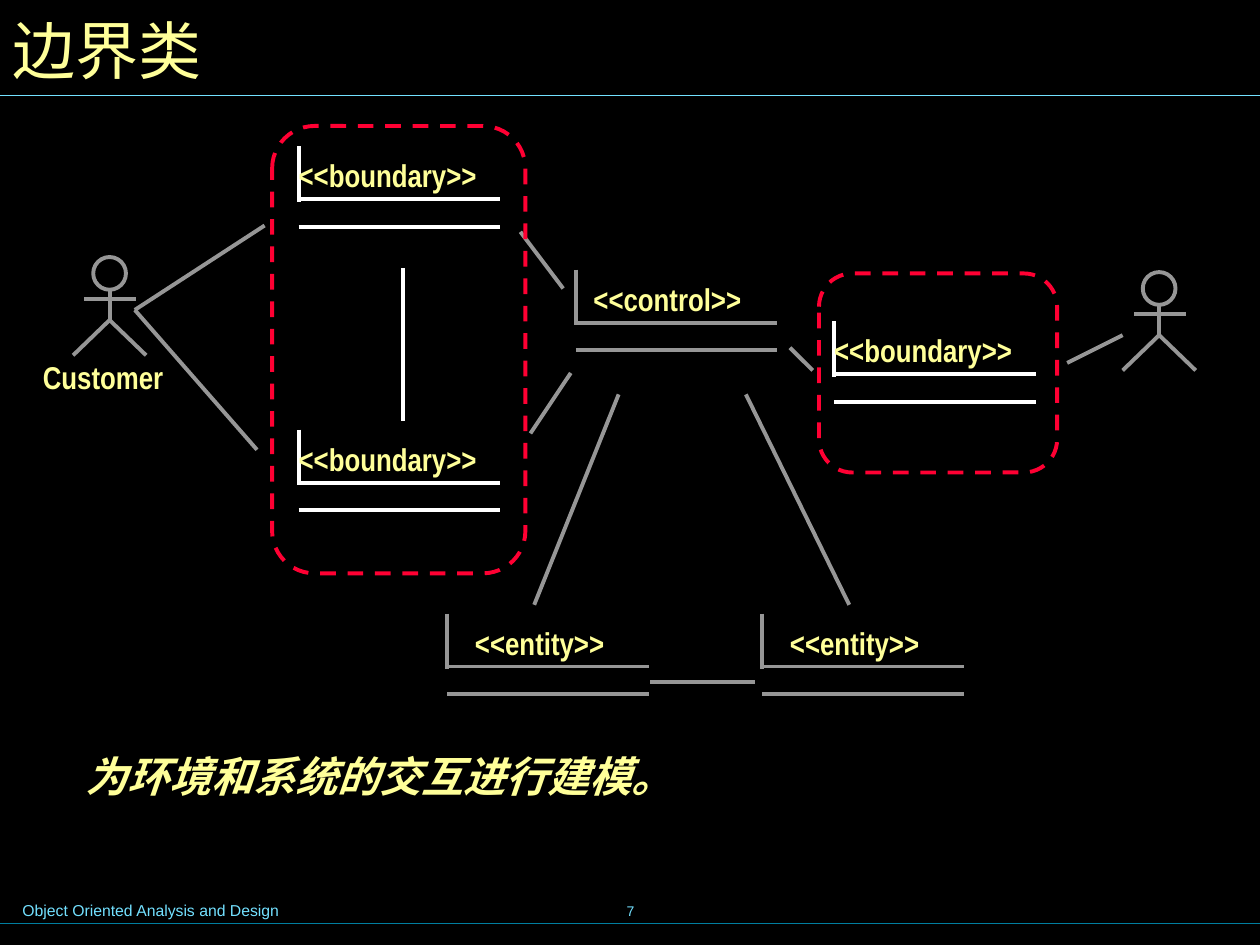
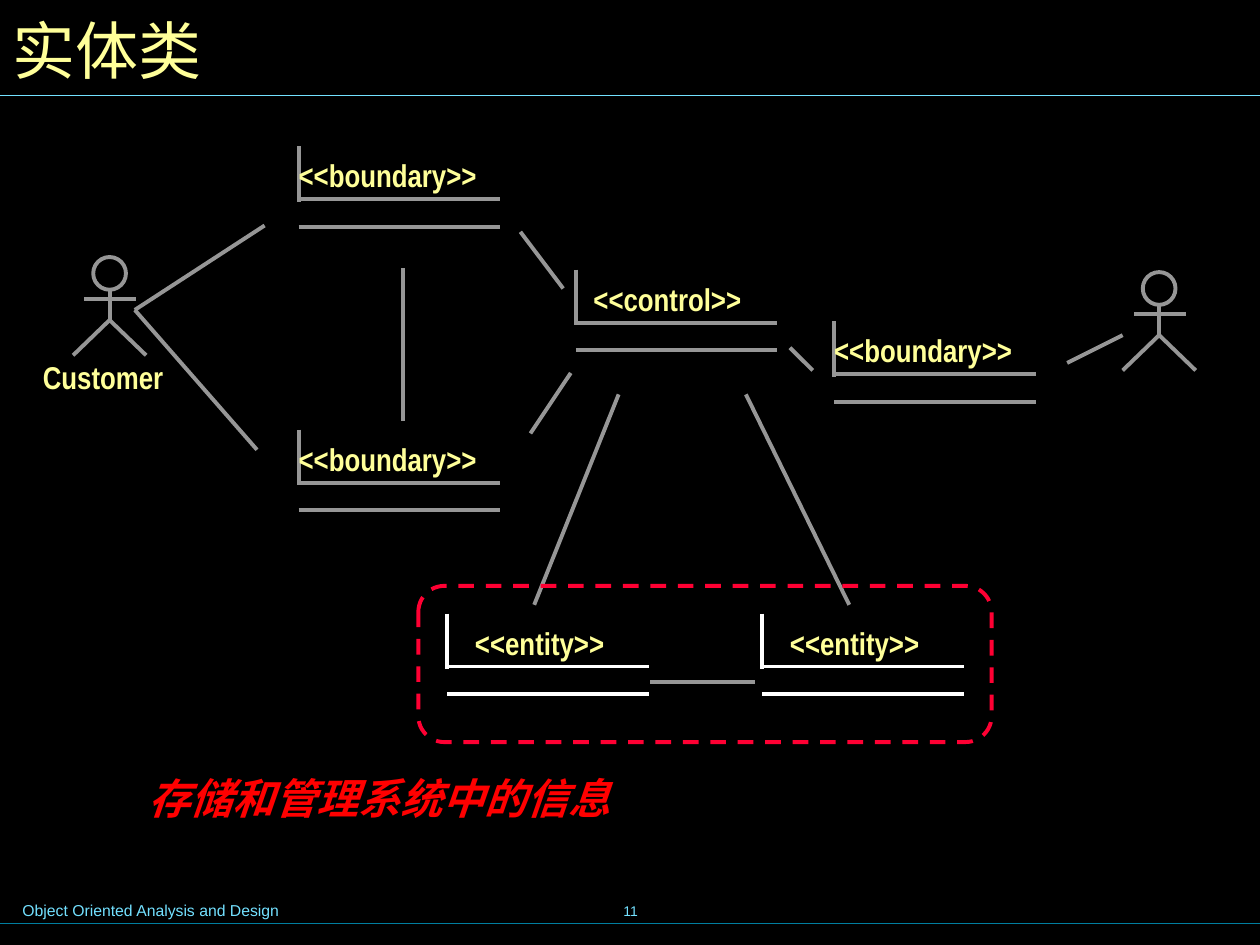
import pptx
import pptx.util
import pptx.dml.color
import pptx.enum.dml
import pptx.enum.shapes
import pptx.enum.text
from lxml import etree

Inches = pptx.util.Inches
Pt = pptx.util.Pt
SHAPES = pptx.enum.shapes.MSO_SHAPE
ANCHOR = pptx.enum.text.MSO_ANCHOR
ALIGN = pptx.enum.text.PP_ALIGN

COLORS = {
    "background": "000000",
    "text": "FFFF99",
    "warning": "FF0000",
    "footer": "73E1FF",
    "footer_rule": "007E9F",
    "muted": "969696",
    "active": "FFFFFF",
    "frame": "FF0033",
}
FOOTER = "Object Oriented Analysis and Design"
BODY_FONT = "Arial Narrow"
FOOTER_FONT = "Arial"
STROKE = 2.25
FRAME_ROUNDING = 0.167

# Each slide highlights one stereotype and frames its classes (left, top, width, height).
SLIDES = [
    {
        "title": "边界类", "number": "7", "highlight": "boundary",
        "note": "为环境和系统的交互进行建模。", "note_color": "text",
        "note_box": (0.58, 5.91, 9.17, 0.5),
        "frames": [(2.16, 1, 2.01, 3.55), (6.5, 2.17, 1.89, 1.58)],
    },
    {
        "title": "实体类", "number": "11", "highlight": "entity",
        "note": "存储和管理系统中的信息", "note_color": "warning",
        "note_box": (1.08, 6.08, 8.17, 0.5),
        "frames": [(3.32, 4.65, 4.55, 1.24)],
    },
]

# Stereotype, left, top of each class symbol
CLASSES = [
    ("boundary", 2.37, 1.18),
    ("boundary", 2.37, 3.43),
    ("control", 4.57, 2.16),
    ("boundary", 6.62, 2.57),
    ("entity", 3.55, 4.89),
    ("entity", 6.05, 4.89),
]
# Label offset from the symbol's left edge, label width with room to stay on one line
LABELS = {"boundary": (0, 1.45), "control": (0.14, 1.21), "entity": (0.22, 1.07)}

ACTORS = [(0.74, 2.04), (9.07, 2.16)]
CUSTOMER_BOX = (0.34, 2.84, 0.98, 0.3)

BOUNDARY_LINK = (3.2, 2.13, 3.2, 3.34)
LINKS = [
    (1.07, 2.46, 2.1, 1.79),
    (1.07, 2.46, 2.04, 3.57),
    (8.47, 2.88, 8.91, 2.66),
    (4.21, 3.44, 4.53, 2.96),
    (4.13, 1.84, 4.47, 2.29),
    (4.24, 4.8, 4.91, 3.13),
    (5.92, 3.13, 6.74, 4.8),
    (5.99, 5.41, 5.16, 5.41),
    (6.45, 2.94, 6.27, 2.76),
]


def rgb(name):
    return pptx.dml.color.RGBColor.from_string(COLORS[name])


def add_text(slide, text, box, size, color="text", font=BODY_FONT, bold=False,
             italic=False, padded=True, wrap=True, anchor=ANCHOR.TOP, align=ALIGN.LEFT):
    frame = slide.shapes.add_textbox(*map(Inches, box)).text_frame
    frame.word_wrap = wrap
    frame.vertical_anchor = anchor
    frame.margin_left = frame.margin_right = Inches(0.1 if padded else 0)
    frame.margin_top = frame.margin_bottom = Inches(0.05 if padded else 0)
    paragraph = frame.paragraphs[0]
    paragraph.text = text
    paragraph.alignment = align
    paragraph.font.name = font
    paragraph.font.size = Pt(size)
    paragraph.font.bold = bold
    paragraph.font.italic = italic
    paragraph.font.color.rgb = rgb(color)


def add_label(slide, text, box):
    add_text(slide, text, box, 18, bold=True, padded=False, wrap=False)


def add_line(slide, ends, color="muted", width=STROKE):
    line = slide.shapes.add_connector(
        pptx.enum.shapes.MSO_CONNECTOR.STRAIGHT, *map(Inches, ends))
    line.line.color.rgb = rgb(color)
    line.line.width = Pt(width)
    etree.SubElement(line._element.spPr, pptx.oxml.ns.qn("a:effectLst"))


def style_outline(shape, color):
    shape.shadow.inherit = False
    shape.fill.background()
    shape.line.color.rgb = rgb(color)
    shape.line.width = Pt(STROKE)


def add_actor(slide, left, top):
    """Draw a stick figure whose head starts at left, top."""
    head = 0.26
    center = left + head / 2
    hip = top + 0.5
    style_outline(slide.shapes.add_shape(
        SHAPES.OVAL, *map(Inches, (left, top, head, head))), "muted")
    add_line(slide, (center, top + head, center, hip))
    add_line(slide, (center - 0.2, top + 0.33, center + 0.21, top + 0.33))
    foot = hip + 0.28
    points = [(Inches(x), Inches(y)) for x, y in
              ((center - 0.29, foot), (center, hip), (center + 0.29, foot))]
    legs = slide.shapes.build_freeform(*points[0])
    legs.add_line_segments(points[1:], close=False)
    style_outline(legs.convert_to_shape(), "muted")


def add_frame(slide, box):
    frame = slide.shapes.add_shape(SHAPES.ROUNDED_RECTANGLE, *map(Inches, box))
    frame.adjustments[0] = FRAME_ROUNDING
    style_outline(frame, "frame")
    frame.line.dash_style = pptx.enum.dml.MSO_LINE.DASH


def add_class(slide, stereotype, left, top, color):
    """Draw an open class symbol: a left edge, two rules and a label."""
    overhang = 0.02
    add_line(slide, (left, top - overhang, left, top + 0.4 + overhang), color)
    for offset in (0.62, 0.4):
        add_line(slide, (left, top + offset, left + 1.6, top + offset), color)
    shift, width = LABELS[stereotype]
    add_label(slide, f"<<{stereotype}>>", (left + shift, top + 0.06, width, 0.3))


def add_base_slide(presentation, title, number):
    slide = presentation.slides.add_slide(presentation.slide_layouts[6])
    slide.background.fill.solid()
    slide.background.fill.fore_color.rgb = rgb("background")
    add_text(slide, FOOTER, (0.08, 7.1, 5.1, 0.25), 9, "footer", FOOTER_FONT)
    add_text(slide, number, (3.42, 6.98, 3.17, 0.5), 8, "footer", FOOTER_FONT,
             wrap=False, anchor=ANCHOR.MIDDLE, align=ALIGN.CENTER)
    add_line(slide, (0, 7.33, 10.04, 7.33), "footer_rule", 0.75)
    add_line(slide, (0, 0.76, 10, 0.76), "footer", 0.75)
    add_text(slide, title, (0, 0, 9.93, 0.78), 36, anchor=ANCHOR.MIDDLE)
    return slide


def add_diagram(slide, highlight, frames):
    def tone(stereotype):
        return "active" if stereotype == highlight else "muted"

    for actor in ACTORS:
        add_actor(slide, *actor)
    add_label(slide, "Customer", CUSTOMER_BOX)
    for link in LINKS:
        add_line(slide, link)
    add_line(slide, BOUNDARY_LINK, tone("boundary"))
    for frame in frames:
        add_frame(slide, frame)
    for stereotype, left, top in CLASSES:
        add_class(slide, stereotype, left, top, tone(stereotype))


def main():
    presentation = pptx.Presentation()
    presentation.slide_width = Inches(10)
    presentation.slide_height = Inches(7.5)
    for content in SLIDES:
        slide = add_base_slide(presentation, content["title"], content["number"])
        add_text(slide, content["note"], content["note_box"], 24,
                 content["note_color"], bold=True, italic=True)
        add_diagram(slide, content["highlight"], content["frames"])
    presentation.save("out.pptx")


if __name__ == "__main__":
    main()
